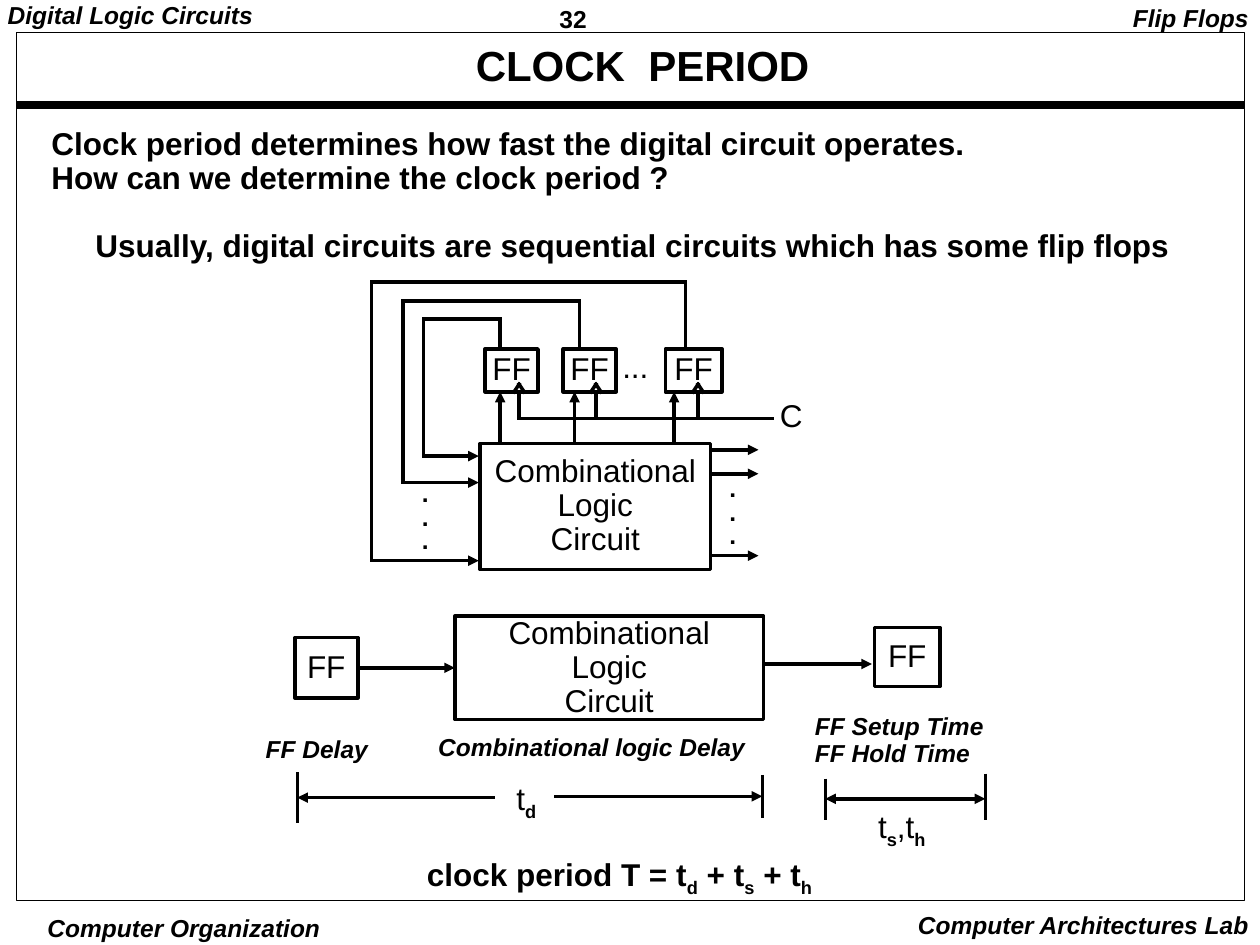
from itertools import pairwise
from lxml.etree import SubElement
from pptx import Presentation
from pptx.dml.color import RGBColor
from pptx.enum.shapes import MSO_CONNECTOR as Conn, MSO_SHAPE as Shape
from pptx.enum.text import MSO_ANCHOR as Anchor, MSO_AUTO_SIZE as Auto, PP_ALIGN as Align
from pptx.oxml.ns import qn
from pptx.util import Inches, Pt

INK = {"line": "000000", "text": "000000"}
FACE = "Arial"
LOGIC = ["Combinational", "Logic", "Circuit"]
DOTS = [".", ".", "."]


def tint(name):
    return RGBColor.from_string(INK[name])


def place(org, box):
    x, y, w, h = box
    return Inches(org[0] + x), Inches(org[1] + y), Inches(w), Inches(h)


def write(frame, lines, size=18, mark="", align=Align.LEFT, gap=0.9, pad=(0.1, 0.05)):
    frame.auto_size = Auto.NONE
    frame.margin_left = frame.margin_right = Inches(pad[0])
    frame.margin_top = frame.margin_bottom = Inches(pad[1])
    for n, line in enumerate(lines):
        para = frame.add_paragraph() if n else frame.paragraphs[0]
        para.alignment = align
        para.line_spacing = gap
        para.space_before = Pt(0)
        for word, look in [(line, mark)] if isinstance(line, str) else line:
            run = para.add_run()
            run.text = word
            font = run.font
            font.name, font.size = FACE, Pt(size)
            font.bold, font.italic = "b" in look, "i" in look
            font.color.rgb = tint("text")
            if "s" in look:
                run._r.get_or_add_rPr().set("baseline", "-25000")


def label(slide, org, box, lines, **style):
    note = slide.shapes.add_textbox(*place(org, box))
    write(note.text_frame, lines, **style)
    note.text_frame.word_wrap = False
    return note


def block(slide, org, box, lines=(), width=2):
    rect = slide.shapes.add_shape(Shape.RECTANGLE, *place(org, box))
    rect.shadow.inherit = False
    rect.fill.background()
    rect.line.color.rgb = tint("line")
    rect.line.width = Pt(width)
    rect.text_frame.vertical_anchor = Anchor.MIDDLE
    rect.text_frame.word_wrap = False
    write(rect.text_frame, lines, align=Align.CENTER, pad=(0, 0))
    return rect


def wire(slide, org, start, end, tips="", width=2, cap="flat"):
    ends = [Inches(org[n % 2] + v) for n, v in enumerate((*start, *end))]
    link = slide.shapes.add_connector(Conn.STRAIGHT, *ends)
    link.line.color.rgb = tint("line")
    link.line.width = Pt(width)
    edge = link.line._get_or_add_ln()
    edge.set("cap", cap)
    for sign, tag in (("<", "a:headEnd"), (">", "a:tailEnd")):
        if sign in tips:
            SubElement(edge, qn(tag), type="triangle")
    SubElement(link._element.spPr, qn("a:effectLst"))
    return link


def trace(slide, org, spots, tips=""):
    legs = list(pairwise(spots))
    for n, (start, end) in enumerate(legs, 1):
        wire(slide, org, start, end, tips if n == len(legs) else "", cap="sq")


def border(slide, org):
    slim = (0.07, 0.03)
    label(slide, org, (4.37, 0, 1.08, 0.29), ["32"], size=14, mark="b", gap=1, pad=slim)
    label(slide, org, (-0.01, 0, 2.09, 0.48), ["Digital Logic Circuits"],
          size=14, mark="bi", pad=slim)
    label(slide, org, (8.89, 0, 1.12, 0.31), ["Flip Flops"],
          size=14, mark="bi", align=Align.RIGHT)
    label(slide, org, (0.35, 7.24, 2.22, 0.26), ["Computer Organization"],
          size=14, mark="bi", align=Align.CENTER, gap=1, pad=(0.03, 0.01))
    label(slide, org, (7.18, 7.17, 2.83, 0.33), ["Computer Architectures Lab"],
          size=14, mark="bi", align=Align.RIGHT, gap=1)
    wire(slide, org, (0.13, 0.83), (9.87, 0.83), width=4.5)
    block(slide, org, (0.13, 0.26, 9.75, 6.89), width=0.5)


def intro(slide, org):
    head = slide.shapes.title
    head.left, head.top, head.width, head.height = place(org, (0.13, 0, 9.32, 0.42))
    write(head.text_frame, ["CLOCK  PERIOD"], size=24, mark="b",
          align=Align.CENTER, pad=(0.07, 0.03))
    note = label(slide, org, (0, 0.64, 9.16, 1.18), [
        "Clock period determines how fast the digital circuit operates.",
        "How can we determine the clock period ?",
        "Usually, digital circuits are sequential circuits which has some flip flops",
    ], mark="b")
    last = note.text_frame.paragraphs[-1]
    last.space_before = Pt(19.4)
    last._p.get_or_add_pPr().set("marL", str(Inches(0.35)))


def loop(slide, org):
    block(slide, org, (0.86, 1.28, 1.83, 1), LOGIC)
    flops = [
        (0.9, 0.42, 1.02, 1.02, 1.17, 0.41, 0.29, 1.38),
        (1.52, 0.42, 1.65, 1.61, 1.78, 0.25, 0.15, 1.59),
        (2.33, 0.45, 2.49, 2.4, 2.59, 0, 0, 2.21),
    ]
    for left, wide, out, feed, tick, side, top, back in flops:
        block(slide, org, (left, 0.53, wide, 0.34), ["FF"])
        trace(slide, org, [(out, 0.53), (out, top), (side, top),
                           (side, back), (0.85, back)], ">")
        wire(slide, org, (feed, 1.28), (feed, 0.87), ">")
        wire(slide, org, (tick, 0.87), (tick, 1.08))
        trace(slide, org, [(tick - 0.04, 0.87), (tick, 0.81), (tick + 0.04, 0.87)])
    wire(slide, org, (1.17, 1.08), (3.18, 1.08), cap="sq")
    for y in (1.33, 1.52, 2.17):
        wire(slide, org, (2.69, y), (3.07, y), ">")
    for x, y in ((0.3, 1.55), (2.74, 1.51)):
        label(slide, org, (x, y, 0.25, 0.66), DOTS, size=14, mark="b", gap=0.8)
    label(slide, org, (1.89, 0.5, 0.41, 0.37), ["..."])
    label(slide, org, (3.14, 0.89, 0.38, 0.37), ["C"])


def chain(slide, org):
    first = block(slide, org, (0.34, 0.17, 0.5, 0.48), ["FF"])
    logic = block(slide, org, (1.61, 0, 2.45, 0.82), LOGIC)
    block(slide, org, (4.94, 0.09, 0.52, 0.47), ["FF"])
    link = wire(slide, org, (0.84, 0.41), (1.61, 0.41), ">")
    link.begin_connect(first, 3)
    link.end_connect(logic, 1)
    wire(slide, org, (4.06, 0.38), (4.92, 0.38), ">")
    for box, lines in (
        ((0.01, 0.91, 1.01, 0.31), ["FF Delay"]),
        ((1.38, 0.9, 2.64, 0.31), ["Combinational logic Delay"]),
        ((4.37, 0.73, 1.54, 0.52), ["FF Setup Time", "FF Hold Time"]),
    ):
        label(slide, org, box, lines, size=14, mark="bi")


def spans(slide, org):
    for x, top, low in ((0, 0, 0.4), (3.69, 0.02, 0.36), (4.19, 0.05, 0.38), (5.46, 0.01, 0.38)):
        wire(slide, org, (x, top), (x, low))
    for x, end, y, tips in ((0, 1.57, 0.2, "<"), (2.04, 3.69, 0.19, ">"), (4.19, 5.46, 0.21, "<>")):
        wire(slide, org, (x, y), (end, y), tips)
    label(slide, org, (1.64, 0.01, 0.36, 0.4), [[("t", ""), ("d", "bs")]])
    label(slide, org, (4.51, 0.23, 0.58, 0.4),
          [[("t", ""), ("s", "bs"), (",t", ""), ("h", "bs")]])
    label(slide, org, (0.93, 0.61, 3.26, 0.4), [[
        ("clock period T = t", "b"), ("d", "bs"), (" + t", "b"),
        ("s", "bs"), (" + t", "b"), ("h", "bs")]])


def main():
    deck = Presentation()
    deck.slide_width, deck.slide_height = Inches(10), Inches(7.5)
    slide = deck.slides.add_slide(deck.slide_layouts[5])
    border(slide, (0, 0))
    intro(slide, (0.31, 0.33))
    loop(slide, (2.95, 2.24))
    chain(slide, (2, 4.89))
    spans(slide, (2.36, 6.13))
    deck.save("out.pptx")


if __name__ == "__main__":
    main()
